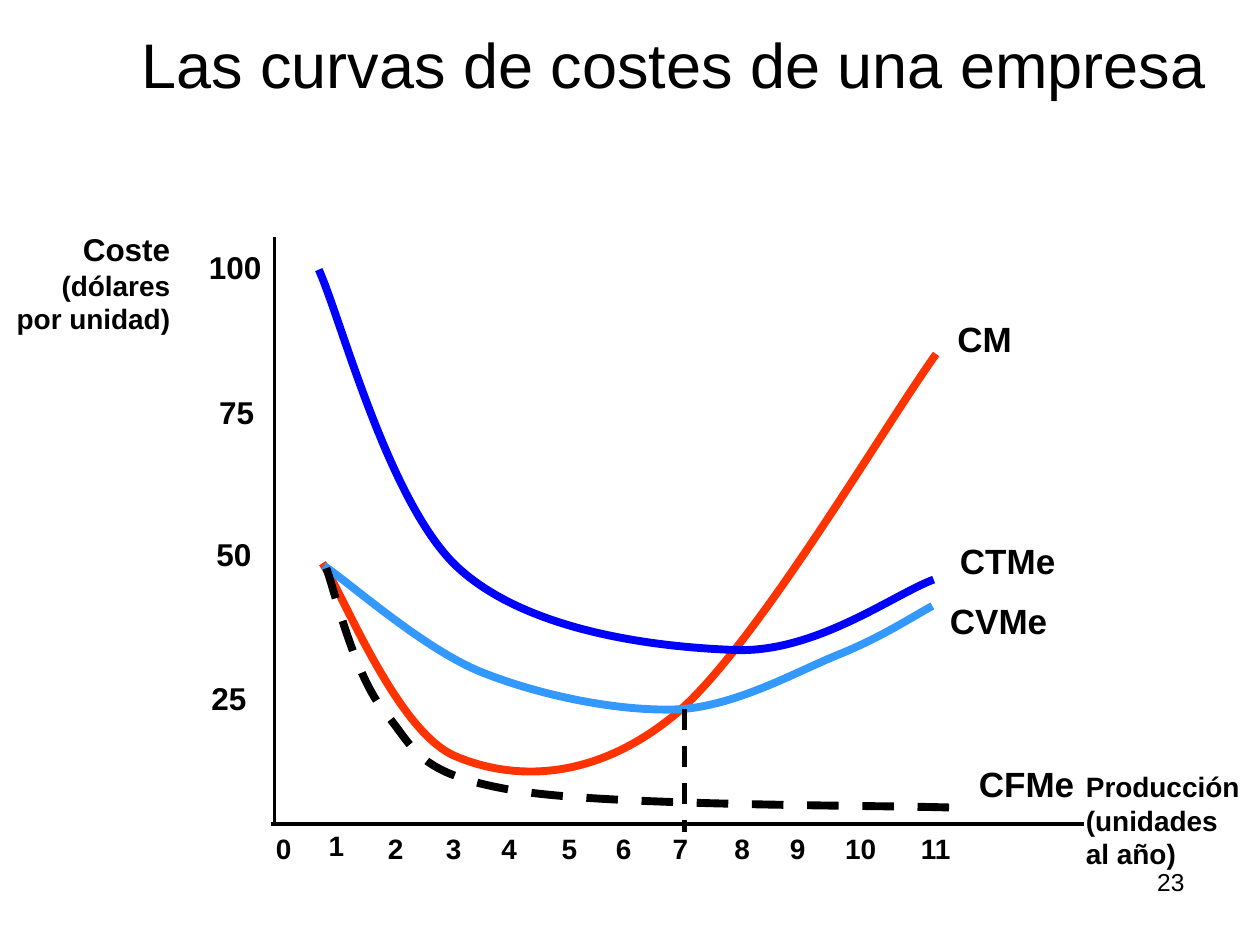
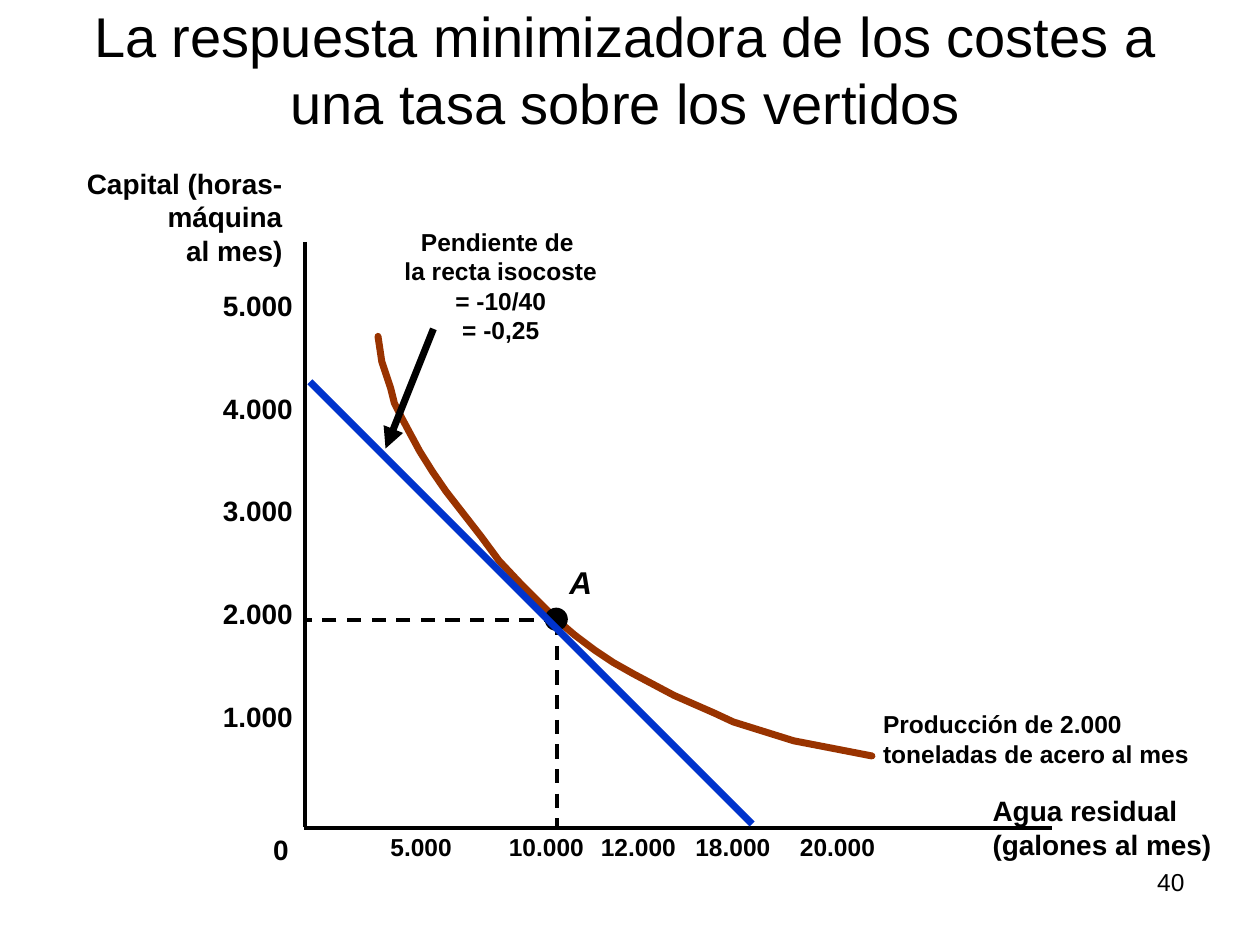
from dataclasses import dataclass

from lxml import etree
from pptx import Presentation
from pptx.dml.color import RGBColor
from pptx.enum.dml import MSO_LINE
from pptx.enum.shapes import MSO_CONNECTOR, MSO_SHAPE
from pptx.enum.text import MSO_ANCHOR, MSO_AUTO_SIZE, PP_ALIGN
from pptx.oxml.ns import qn
from pptx.presentation import Presentation as Deck
from pptx.slide import Slide
from pptx.util import Inches, Pt

FONT = "Arial"
BLACK = RGBColor(0x00, 0x00, 0x00)
MARGINAL_RED = RGBColor(0xFF, 0x33, 0x00)
VARIABLE_SKY = RGBColor(0x33, 0x99, 0xFF)
TOTAL_BLUE = RGBColor(0x00, 0x00, 0xFF)
ISOQUANT_BROWN = RGBColor(0x99, 0x33, 0x00)
ISOCOST_BLUE = RGBColor(0x00, 0x33, 0xCC)

TITLE_ONLY = 5
TITLE_HEIGHT = 0.85
AXIS_WIDTH = 2

Point = tuple[float, float]


@dataclass(frozen=True)
class Label:
    left: float
    top: float
    width: float
    lines: tuple[str, ...]
    size: int = 16
    first_size: int | None = None
    align: PP_ALIGN = PP_ALIGN.LEFT
    bold: bool = True
    italic: bool = False

    def sizes(self) -> list[int]:
        return [self.first_size or self.size] + [self.size] * (len(self.lines) - 1)


@dataclass(frozen=True)
class Segment:
    start: Point
    end: Point
    width: float = AXIS_WIDTH
    color: RGBColor = BLACK
    dashed: bool = False
    arrow: bool = False


@dataclass(frozen=True)
class Curve:
    """A polyline or, if bezier, a start point and three control points per arc."""
    points: list[Point]
    color: RGBColor
    width: float = 4.5
    dashed: bool = False
    bezier: bool = True


COST_AXES = [
    Segment((2.18, 1.88), (2.18, 6.54)),
    Segment((2.15, 6.54), (8.6, 6.54)),
]
MINIMUM_COST_DROP = Segment((5.43, 5.63), (5.43, 6.6), width=3, dashed=True)

COST_LABELS = [
    Label(8.52, 6.06, 1.48, ("Producción", "(unidades", "al año)")),
    Label(0.03, 1.78, 1.42, ("Coste", "(dólares", "por unidad)"),
          first_size=18, align=PP_ALIGN.RIGHT),
    Label(1.58, 5.34, 0.5, ("25",), 18),
    Label(1.62, 4.2, 0.5, ("50",), 18),
    Label(1.64, 3.07, 0.5, ("75",), 18),
    Label(1.56, 1.92, 0.64, ("100",), 18),
    Label(7.5, 2.47, 0.65, ("CM",), 20),
    Label(7.52, 4.23, 0.98, ("CTMe",), 20),
    Label(7.44, 4.71, 0.99, ("CVMe",), 20),
    Label(7.67, 6, 0.98, ("CFMe",), 20),
]
OUTPUT_TICK_LEFTS = [2.09, 2.51, 2.98, 3.44, 3.88, 4.36, 4.79, 5.24,
                     5.73, 6.17, 6.61, 7.21]

MARGINAL_COST = Curve([
    (2.56, 4.47), (2.73, 4.73), (3.15, 5.8), (3.61, 6), (4.08, 6.2),
    (4.72, 6.2), (5.36, 5.67), (5.99, 5.14), (7, 3.41), (7.43, 2.81)],
    MARGINAL_RED)
AVERAGE_VARIABLE_COST = Curve([
    (2.57, 4.49), (2.78, 4.63), (3.35, 5.14), (3.81, 5.33), (4.28, 5.52),
    (4.91, 5.65), (5.39, 5.63), (5.86, 5.6), (6.34, 5.32), (6.67, 5.19),
    (7.01, 5.05), (7.25, 4.89), (7.4, 4.81)], VARIABLE_SKY)
AVERAGE_TOTAL_COST = Curve([
    (2.53, 2.14), (2.71, 2.54), (3.09, 4.01), (3.64, 4.51), (4.2, 5.02),
    (5.23, 5.14), (5.86, 5.16), (6.49, 5.17), (7.09, 4.72), (7.41, 4.6)],
    TOTAL_BLUE)
AVERAGE_FIXED_COST = Curve([
    (2.59, 4.51), (2.66, 4.7), (2.81, 5.36), (3.06, 5.66), (3.3, 5.95),
    (3.31, 6.14), (4.06, 6.27), (4.81, 6.4), (6.97, 6.39), (7.56, 6.41)],
    BLACK, dashed=True)
COST_CURVES = [MARGINAL_COST, AVERAGE_VARIABLE_COST, AVERAGE_TOTAL_COST,
               AVERAGE_FIXED_COST]

ISOQUANT = Curve([
    (3, 2.67), (3.03, 2.87), (3.1, 3.08), (3.13, 3.2), (3.19, 3.32),
    (3.26, 3.45), (3.33, 3.58), (3.43, 3.74), (3.54, 3.9), (3.68, 4.08),
    (3.82, 4.26), (3.96, 4.45), (4.12, 4.62), (4.27, 4.77), (4.42, 4.92),
    (4.56, 5.04), (4.72, 5.16), (4.87, 5.26), (5.03, 5.35), (5.35, 5.52),
    (5.67, 5.66), (5.82, 5.73), (5.98, 5.78), (6.3, 5.88), (6.61, 5.94),
    (6.92, 6)], ISOQUANT_BROWN, width=4, bezier=False)
OPTIMUM_SEGMENTS = [
    Segment((2.42, 1.92), (2.42, 6.56)),
    Segment((2.41, 6.57), (8.35, 6.57)),
    Segment((4.43, 4.92), (2.41, 4.92), dashed=True),
    Segment((4.42, 4.93), (4.42, 6.57), dashed=True),
]
ISOCOST = Segment((2.46, 3.03), (5.97, 6.54), width=4, color=ISOCOST_BLUE)
SLOPE_ARROW = Segment((3.44, 2.61), (3.06, 3.56), width=4, arrow=True)

OPTIMUM_LABELS = [
    Label(7.78, 6.25, 1.94, ("Agua residual", "(galones al mes)")),
    Label(0.54, 1.27, 1.8, ("Capital (horas-", "máquina", "al mes)"),
          align=PP_ALIGN.RIGHT),
    Label(6.91, 5.58, 2.65, ("Producción de 2.000", "toneladas de acero al mes"), 14),
    Label(4.42, 4.42, 0.38, ("A",), 18, italic=True),
    Label(3.11, 1.75, 1.73,
          ("Pendiente de ", "la recta isocoste", " = -10/40 ", "= -0,25"),
          14, align=PP_ALIGN.CENTER),
    Label(2.07, 6.56, 0.32, ("0",)),
]
WATER_TICKS = {"5.000": 3.0, "10.000": 3.94, "12.000": 4.67,
               "18.000": 5.42, "20.000": 6.25}
WATER_TICK_WIDTH = 0.82
CAPITAL_TICK_BASE = 5.5
CAPITAL_TICK_STEP = 0.815


def add_label(slide: Slide, label: Label) -> None:
    height = sum(label.sizes()) * 1.2 / 72 + 0.1
    box = slide.shapes.add_textbox(Inches(label.left), Inches(label.top),
                                   Inches(label.width), Inches(height))
    frame = box.text_frame
    frame.word_wrap = False
    frame.auto_size = MSO_AUTO_SIZE.SHAPE_TO_FIT_TEXT
    frame.text = "\n".join(label.lines)
    for paragraph, size in zip(frame.paragraphs, label.sizes()):
        paragraph.alignment = label.align
        font = paragraph.font
        font.name, font.size, font.color.rgb = FONT, Pt(size), BLACK
        font.bold, font.italic = label.bold, label.italic


def add_segment(slide: Slide, segment: Segment) -> None:
    ends = [Inches(value) for value in segment.start + segment.end]
    connector = slide.shapes.add_connector(MSO_CONNECTOR.STRAIGHT, *ends)
    connector.line.color.rgb = segment.color
    connector.line.width = Pt(segment.width)
    if segment.dashed:
        connector.line.dash_style = MSO_LINE.DASH
    properties = connector._element.spPr
    if segment.arrow:
        etree.SubElement(properties.find(qn("a:ln")), qn("a:tailEnd"), type="triangle")
    etree.SubElement(properties, qn("a:effectLst"))


def bend_into_arcs(outline_path: etree._Element) -> None:
    """Turn every three straight steps into one cubic Bézier arc."""
    steps = outline_path.findall(qn("a:lnTo"))
    for first in range(0, len(steps), 3):
        arc = etree.SubElement(outline_path, qn("a:cubicBezTo"))
        for step in steps[first:first + 3]:
            arc.append(step[0])
            outline_path.remove(step)


def add_curve(slide: Slide, curve: Curve) -> None:
    start, *rest = [(Inches(x), Inches(y)) for x, y in curve.points]
    builder = slide.shapes.build_freeform(*start)
    builder.add_line_segments(rest, close=False)
    outline = builder.convert_to_shape()
    outline.shadow.inherit = False
    outline.fill.background()
    outline.line.color.rgb = curve.color
    outline.line.width = Pt(curve.width)
    if curve.dashed:
        outline.line.dash_style = MSO_LINE.DASH
    properties = outline._element.spPr
    if curve.bezier:
        bend_into_arcs(next(properties.iter(qn("a:path"))))
    else:
        stroke = properties.find(qn("a:ln"))
        stroke.set("cap", "rnd")
        etree.SubElement(stroke, qn("a:round"))


def add_optimum_point(slide: Slide) -> None:
    dot = slide.shapes.add_shape(MSO_SHAPE.OVAL, Inches(4.33), Inches(4.83),
                                 Inches(0.17), Inches(0.17))
    dot.shadow.inherit = False
    dot.fill.solid()
    dot.fill.fore_color.rgb = BLACK
    dot.line.color.rgb = BLACK
    dot.line.width = Pt(1)


def add_titled_slide(deck: Deck, title: str, left: float, top: float,
                     width: float, size: int, number: int) -> Slide:
    slide = deck.slides.add_slide(deck.slide_layouts[TITLE_ONLY])
    heading = slide.shapes.title
    heading.left, heading.top = Inches(left), Inches(top)
    heading.width, heading.height = Inches(width), Inches(TITLE_HEIGHT)
    frame = heading.text_frame
    frame.text = title
    frame.auto_size = MSO_AUTO_SIZE.NONE
    frame.vertical_anchor = MSO_ANCHOR.BOTTOM
    paragraph = frame.paragraphs[0]
    paragraph.alignment = PP_ALIGN.CENTER
    font = paragraph.font
    font.name, font.size, font.color.rgb = FONT, Pt(size), BLACK
    add_label(slide, Label(7.17, 6.83, 2.33, (str(number),), 14,
                           align=PP_ALIGN.RIGHT, bold=False))
    return slide


def build_cost_curves(deck: Deck) -> None:
    slide = add_titled_slide(deck, "Las curvas de costes de una empresa",
                             0.69, 0, 9.31, 36, 23)
    for axis in COST_AXES:
        add_segment(slide, axis)
    for label in COST_LABELS:
        add_label(slide, label)
    for output, left in enumerate(OUTPUT_TICK_LEFTS):
        top = 6.53 if output == 1 else 6.55
        add_label(slide, Label(left, top, 0.32 if output < 10 else 0.47, (str(output),)))
    for curve in COST_CURVES:
        add_curve(slide, curve)
    add_segment(slide, MINIMUM_COST_DROP)


def build_discharge_fee(deck: Deck) -> None:
    slide = add_titled_slide(
        deck, "La respuesta minimizadora de los costes a una tasa sobre los vertidos",
        0.6, 0.28, 8.73, 32, 40)
    add_curve(slide, ISOQUANT)
    for segment in OPTIMUM_SEGMENTS:
        add_segment(slide, segment)
    add_optimum_point(slide)
    add_segment(slide, ISOCOST)
    add_segment(slide, SLOPE_ARROW)
    for label in OPTIMUM_LABELS:
        add_label(slide, label)
    for gallons, left in WATER_TICKS.items():
        add_label(slide, Label(left, 6.55, WATER_TICK_WIDTH, (gallons,), 14))
    for thousands in range(1, 6):
        top = CAPITAL_TICK_BASE - CAPITAL_TICK_STEP * (thousands - 1)
        add_label(slide, Label(1.67, top, 0.78, (f"{thousands}.000",)))


def main() -> None:
    deck = Presentation()
    deck.slide_width, deck.slide_height = Inches(10), Inches(7.5)
    build_cost_curves(deck)
    build_discharge_fee(deck)
    deck.save("out.pptx")


if __name__ == "__main__":
    main()
